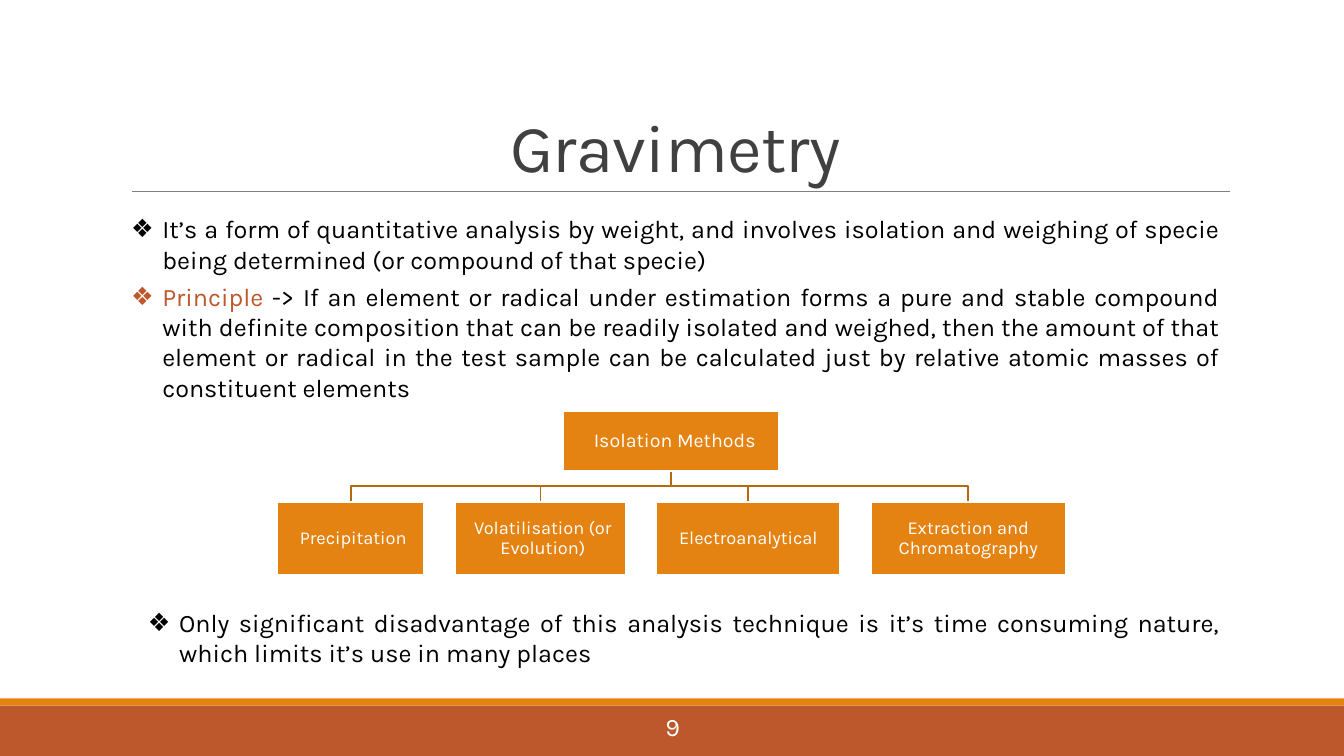
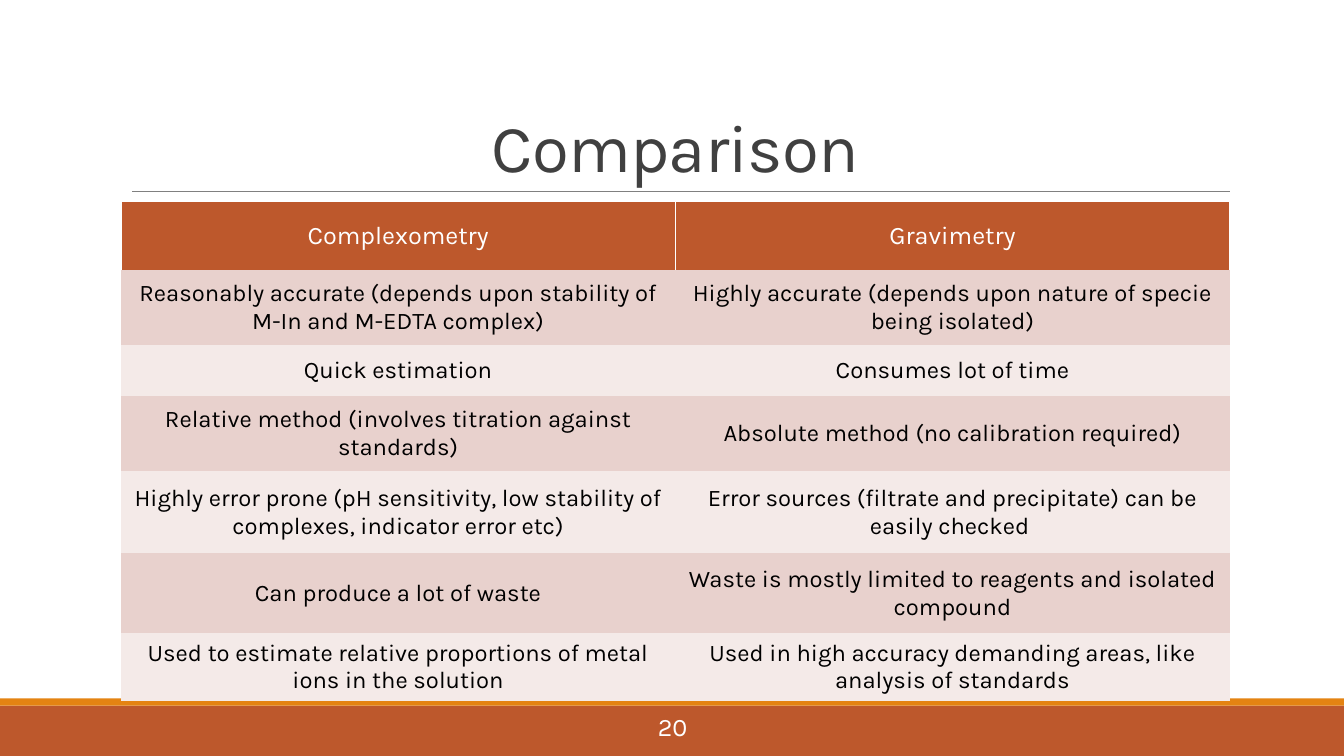
from dataclasses import dataclass

from lxml.etree import Element, SubElement
from pptx import Presentation
from pptx.dml.color import RGBColor
from pptx.enum.shapes import MSO_CONNECTOR, MSO_SHAPE
from pptx.enum.text import MSO_ANCHOR, MSO_AUTO_SIZE, PP_ALIGN
from pptx.oxml.ns import qn
from pptx.util import Inches, Pt

RECT = MSO_SHAPE.RECTANGLE
STRAIGHT = MSO_CONNECTOR.STRAIGHT
MIDDLE, BOTTOM = MSO_ANCHOR.MIDDLE, MSO_ANCHOR.BOTTOM
CENTER, JUSTIFY = PP_ALIGN.CENTER, PP_ALIGN.JUSTIFY
NO_AUTOFIT = MSO_AUTO_SIZE.NONE
TITLE_ONLY, TWO_CONTENT = 5, 3
NO_TABLE_STYLE = "{2D5ABB26-0587-4C30-8999-92F81FD0307C}"
COLS, ROWS = 40, 30
LEFT, WIDTH = 3.6, 33


@dataclass(frozen=True)
class Theme:
    font: str = "Karla"
    rust: str = "BD582C"
    orange: str = "E48312"
    branch: str = "B7690E"
    rule: str = "808080"
    heading: str = "404040"
    ink: str = "000000"
    paper: str = "FFFFFF"
    stripes: tuple = ("E8D1CD", "F4EAE8")
    title_size: int = 48
    body_size: int = 18
    cell_size: int = 17
    root_size: int = 14
    leaf_size: int = 13


class Deck:
    def __init__(self, theme):
        self.theme = theme
        self.prs = Presentation()
        self.prs.slide_width = Inches(13.33)
        self.prs.slide_height = Inches(7.5)
        self.slide = None

    def x(self, cols):
        return round(self.prs.slide_width * cols / COLS)

    def y(self, rows):
        return round(self.prs.slide_height * rows / ROWS)

    def box(self, left, top, width, height):
        return self.x(left), self.y(top), self.x(width), self.y(height)

    def style(self, p, size, color, align=CENTER):
        p.alignment = align
        for r in p.runs:
            r.font.name = self.theme.font
            r.font.size = Pt(size)
            r.font.color.rgb = RGBColor.from_string(color)

    def stroke(self, sp, color, width):
        sp.line.color.rgb = RGBColor.from_string(color)
        sp.line.width = Pt(width)

    def place(self, sp, *box):
        sp.left, sp.top, sp.width, sp.height = self.box(*box)
        tf = sp.text_frame
        tf.word_wrap = True
        tf.auto_size = NO_AUTOFIT
        return tf

    def new_slide(self, layout, title, number):
        t = self.theme
        self.slide = self.prs.slides.add_slide(self.prs.slide_layouts[layout])
        self.rect(0, 28, COLS, 2, t.rust)
        self.rect(0, 27.72, COLS, 0.28, t.orange)
        self.line((3.93, 7.6), (36.62, 7.6), t.rule, 0.5)
        self.title(title)
        self.page_number(number)

    def title(self, text):
        tf = self.place(self.slide.shapes.title, LEFT, 1.24, WIDTH, 6.36)
        tf.vertical_anchor = BOTTOM
        tf.text = text
        p = tf.paragraphs[0]
        p.line_spacing = 0.85
        self.style(p, self.theme.title_size, self.theme.heading)
        for r in p.runs:
            r.font._element.set("spc", "-50")

    def page_number(self, number):
        sp = self.slide.shapes.add_textbox(*self.box(19, 28.04, 2.04, 1.6))
        sp.text_frame.word_wrap = True
        p = sp.text_frame.paragraphs[0]
        p.text = str(number)
        self.style(p, self.theme.body_size, self.theme.paper)

    def rect(self, left, top, width, height, fill, outline=None):
        sp = self.slide.shapes.add_shape(RECT, *self.box(left, top, width, height))
        sp.shadow.inherit = False
        sp.fill.solid()
        sp.fill.fore_color.rgb = RGBColor.from_string(fill)
        if outline:
            self.stroke(sp, outline, 1.25)
        else:
            sp.line.fill.background()
        return sp

    def line(self, start, end, color, width):
        ends = self.x(start[0]), self.y(start[1]), self.x(end[0]), self.y(end[1])
        cxn = self.slide.shapes.add_connector(STRAIGHT, *ends)
        self.stroke(cxn, color, width)
        SubElement(cxn._element.spPr, qn("a:effectLst"))

    def polyline(self, points, color, width):
        start, *rest = [(self.x(col), self.y(row)) for col, row in points]
        builder = self.slide.shapes.build_freeform(*start)
        builder.add_line_segments(rest, close=False)
        sp = builder.convert_to_shape()
        sp.shadow.inherit = False
        sp.fill.background()
        self.stroke(sp, color, width)

    def bullets(self, index, box, items):
        tf = self.place(self.slide.placeholders[index], *box)
        tf.text = "\n".join(lead + text for lead, text in items)
        for i, (p, (lead, text)) in enumerate(zip(tf.paragraphs, items)):
            p.space_before = Pt(5 if i else 0)
            p.space_after = Pt(0)
            if lead:
                p.text = lead
                p.add_run().text = text
            self.style(p, self.theme.body_size, self.theme.ink, JUSTIFY)
            if lead:
                p.runs[0].font.color.rgb = RGBColor.from_string(self.theme.rust)
            pPr = p._p.get_or_add_pPr()
            pPr.set("marL", str(Inches(0.31)))
            pPr.set("indent", str(-Inches(0.31)))
            SubElement(pPr, qn("a:buChar"), char="❖")

    def node(self, box, text, size, inset):
        sp = self.rect(*box, self.theme.orange, self.theme.paper)
        tf = sp.text_frame
        tf.word_wrap = True
        tf.vertical_anchor = MIDDLE
        tf.margin_left = self.x(inset)
        tf.margin_right = tf.margin_top = tf.margin_bottom = Inches(0.01)
        p = tf.paragraphs[0]
        p.text = text
        p.line_spacing = 0.9
        self.style(p, size, self.theme.paper)

    def tree(self, root, leaves):
        t = self.theme
        center, gap = 19.98, 0.92
        root_top, root_height, leaf_top, leaf_height = 16.32, 2.36, 19.92, 2.9
        root_bottom = root_top + root_height
        bar = (root_bottom + leaf_top) / 2
        total = sum(width for _, width, _ in leaves) + gap * (len(leaves) - 1)
        left = center - total / 2
        boxes = []
        for _, width, _ in leaves:
            boxes.append((left, leaf_top, width, leaf_height))
            middle = left + width / 2
            self.polyline([(center, root_bottom), (center, bar),
                           (middle, bar), (middle, leaf_top)], t.branch, 1.25)
            left += width + gap
        text, width, inset = root
        self.node((center - width / 2, root_top, width, root_height),
                  text, t.root_size, inset)
        for box, (text, _, inset) in zip(boxes, leaves):
            self.node(box, text, t.leaf_size, inset)

    def table(self, top, heights, rows):
        t = self.theme
        box = self.box(LEFT, top, WIDTH, sum(heights))
        table = self.slide.shapes.add_table(len(rows), len(rows[0]), *box).table
        table.horz_banding = False
        table._tbl.tblPr.find(qn("a:tableStyleId")).text = NO_TABLE_STYLE
        for i, (texts, height) in enumerate(zip(rows, heights)):
            table.rows[i].height = self.y(height)
            fill = t.stripes[(i - 1) % 2] if i else t.rust
            for cell, text in zip(table.rows[i].cells, texts):
                cell.fill.solid()
                cell.fill.fore_color.rgb = RGBColor.from_string(fill)
                cell.vertical_anchor = MIDDLE
                p = cell.text_frame.paragraphs[0]
                p.text = text
                if i:
                    self.style(p, t.cell_size, t.ink)
                else:
                    self.style(p, t.body_size, t.paper)
                    self.borders(cell)

    def borders(self, cell):
        tcPr = cell._tc.get_or_add_tcPr()
        for i, side in enumerate(("lnL", "lnR", "lnT")):
            ln = Element(qn("a:" + side), w=str(Pt(1)))
            fill = SubElement(ln, qn("a:solidFill"))
            SubElement(fill, qn("a:srgbClr"), val=self.theme.paper)
            tcPr.insert(i, ln)


def gravimetry(deck):
    deck.new_slide(TWO_CONTENT, "Gravimetry", 9)
    deck.bullets(1, (LEFT, 8.28, WIDTH, 7.96), [
        ("", "It’s a form of quantitative analysis by weight, and involves "
             "isolation and weighing of specie being determined "
             "(or compound of that specie)"),
        ("Principle", " -> If an element or radical under estimation forms a pure "
                      "and stable compound with definite composition that can be "
                      "readily isolated and weighed, then the amount of that "
                      "element or radical in the test sample can be calculated "
                      "just by relative atomic masses of constituent elements"),
    ])
    deck.tree(("Isolation Methods", 6.42, 0.24), [
        ("Precipitation", 4.38, 0.17),
        ("Volatilisation (or Evolution)", 5.07, 0.17),
        ("Electroanalytical", 5.46, 0.03),
        ("Extraction and Chromatography", 5.79, 0.03),
    ])
    deck.bullets(2, (4.1, 23.9, 32.5, 2.84), [
        ("", "Only significant disadvantage of this analysis technique is it’s "
             "time consuming nature, which limits it’s use in many places"),
    ])


def comparison(deck):
    deck.new_slide(TITLE_ONLY, "Comparison", 20)
    deck.table(8, (2.72, 2.96, 2.02, 3, 3.26, 3.18, 2.5), [
        ("Complexometry", "Gravimetry"),
        ("Reasonably accurate (depends upon stability of M-In and M-EDTA complex)",
         "Highly accurate (depends upon nature of specie being isolated)"),
        ("Quick estimation", "Consumes lot of time"),
        ("Relative method (involves titration against standards)",
         "Absolute method (no calibration required)"),
        ("Highly error prone (pH sensitivity, low stability of complexes, "
         "indicator error etc)",
         "Error sources (filtrate and precipitate) can be easily checked "),
        ("Can produce a lot of waste",
         "Waste is mostly limited to reagents and isolated compound"),
        ("Used to estimate relative proportions of metal ions in the solution",
         "Used in high accuracy demanding areas, like analysis of standards"),
    ])


def main():
    deck = Deck(Theme())
    gravimetry(deck)
    comparison(deck)
    deck.prs.save("out.pptx")


if __name__ == "__main__":
    main()
